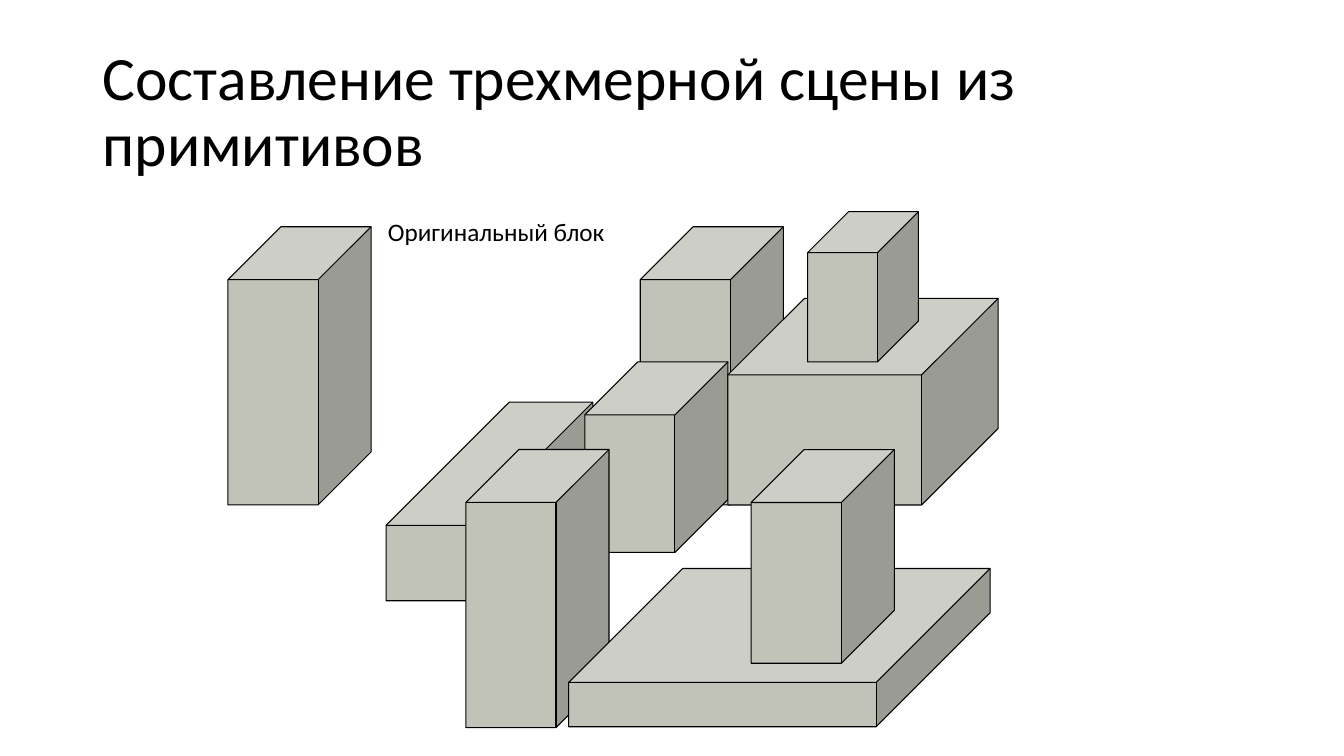
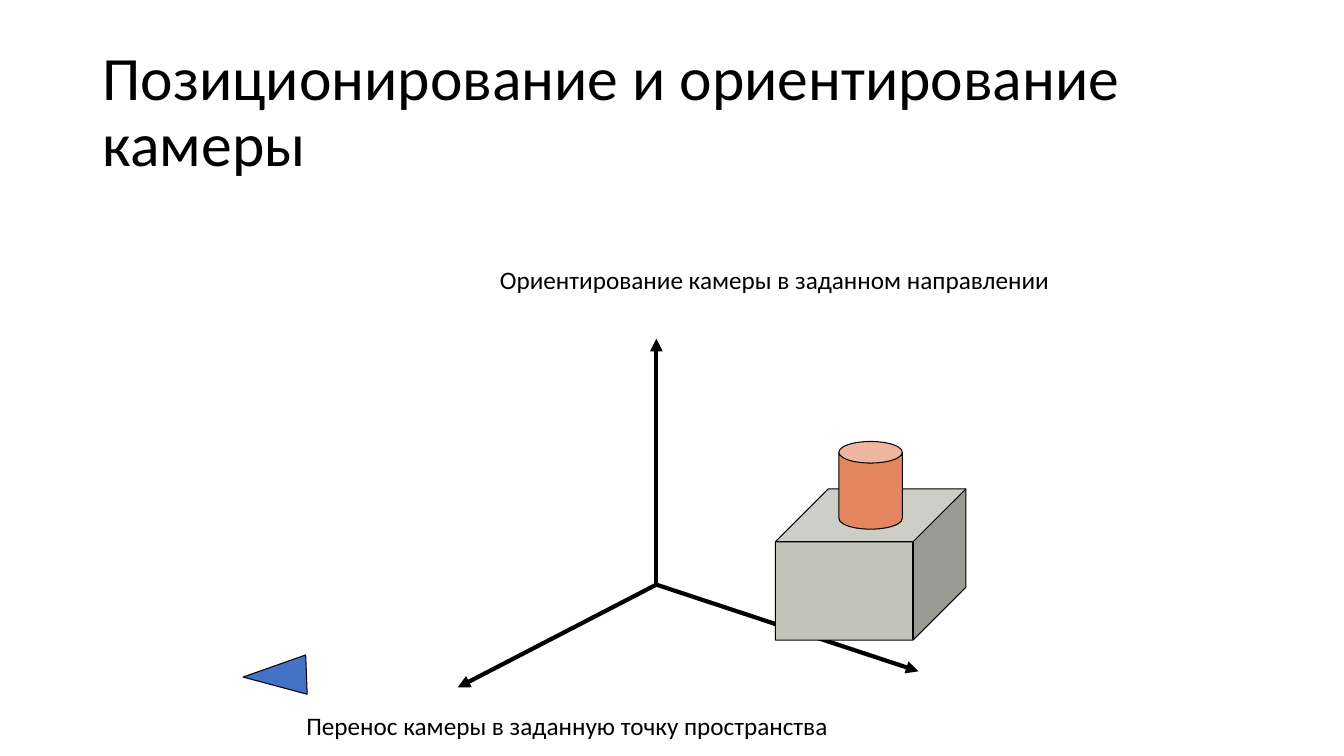
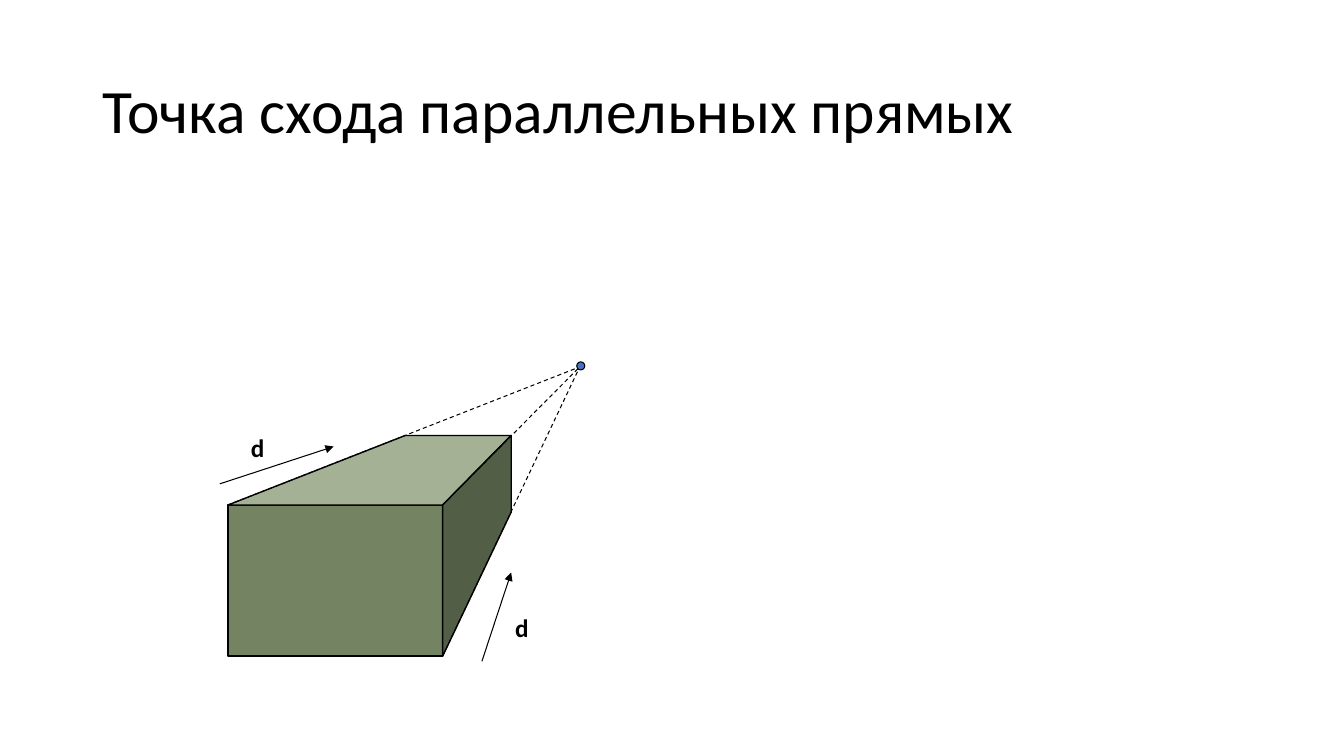
"""Builds three slides on three-dimensional scenes, cameras and vanishing points."""
from lxml import etree
from pptx import Presentation
from pptx.dml.color import RGBColor
from pptx.enum.dml import MSO_LINE
from pptx.enum.shapes import MSO_CONNECTOR, MSO_SHAPE
from pptx.enum.text import MSO_ANCHOR
from pptx.oxml.ns import qn
from pptx.util import Inches, Pt

CUBE, CAN, RECT = MSO_SHAPE.CUBE, MSO_SHAPE.CAN, MSO_SHAPE.RECTANGLE
CONE, DOT = MSO_SHAPE.ISOSCELES_TRIANGLE, MSO_SHAPE.OVAL
STRAIGHT, DASH = MSO_CONNECTOR.STRAIGHT, MSO_LINE.DASH
TOP, MIDDLE = MSO_ANCHOR.TOP, MSO_ANCHOR.MIDDLE
FONT = "Calibri"
THIN, EDGE, THICK = 0.75, 1, 3
SLANT = 0.37
COLORS = {
    "ink": "000000", "paper": "FFFFFF", "stone": "C1C3B9", "clay": "E3855F",
    "blue": "4472C4", "front": "748361", "top": "A4B195", "side": "535E46",
}


def color(name):
    """Return the named colour."""
    return RGBColor.from_string(COLORS[name])


def text(slide, words, left, top, width, height=0.4, size=18, bold=False,
         anchor=TOP, space=1.0):
    """Add a text box with one formatted paragraph."""
    box = slide.shapes.add_textbox(*map(Inches, (left, top, width, height)))
    frame = box.text_frame
    frame.word_wrap = True
    frame.vertical_anchor = anchor
    para = frame.paragraphs[0]
    para.line_spacing = space
    run = para.add_run()
    run.text = words
    run.font.name = FONT
    run.font.size = Pt(size)
    run.font.bold = bold
    run.font.color.rgb = color("ink")


def paint(item, fill, width=THIN):
    """Fill and outline a shape, without a shadow."""
    item.shadow.inherit = False
    item.fill.solid()
    item.fill.fore_color.rgb = color(fill)
    item.line.color.rgb = color("ink")
    item.line.width = Pt(width)


def solid(slide, kind, fill, left, top, width, height, adjust=None, turn=0,
          edge=THIN):
    """Add a painted preset shape."""
    item = slide.shapes.add_shape(kind, *map(Inches, (left, top, width, height)))
    if adjust is not None:
        item.adjustments[0] = adjust
    item.rotation = turn
    paint(item, fill, edge)


def block(slide, left, top, width, height, slant=SLANT):
    """Add a stone block."""
    solid(slide, CUBE, "stone", left, top, width, height, slant)


def face(slide, fill, *points):
    """Add a closed polygon through the points."""
    spots = [tuple(map(Inches, point)) for point in points]
    outline = slide.shapes.build_freeform(*spots[0])
    outline.add_line_segments(spots[1:], close=True)
    paint(outline.convert_to_shape(), fill, EDGE)


def line(slide, start, end, width=THIN, dash=None, arrow=False):
    """Add a straight line, dashed or with an arrowhead if asked."""
    item = slide.shapes.add_connector(STRAIGHT, *map(Inches, (*start, *end)))
    item.line.color.rgb = color("ink")
    item.line.width = Pt(width)
    if dash:
        item.line.dash_style = dash
    props = item._element.spPr
    if arrow:
        stroke = props.find(qn("a:ln"))
        etree.SubElement(stroke, qn("a:tailEnd"), type="triangle")
    etree.SubElement(props, qn("a:effectLst"))


def page(deck, title):
    """Add a blank slide with the shared background and title."""
    slide = deck.slides.add_slide(deck.slide_layouts[6])
    back = slide.background.fill
    back.solid()
    back.fore_color.rgb = color("paper")
    text(slide, title, 0.92, 0.4, 11.5, 1.45, size=44, anchor=MIDDLE, space=0.9)
    return slide


def scene(deck):
    """Build the slide with the scene of blocks."""
    slide = page(deck, "Составление трехмерной сцены из примитивов")
    wide, tall = 1.42, 2.76
    block(slide, 2.26, 2.25, wide, tall)
    text(slide, "Оригинальный блок", 3.75, 2.1, 2.53)
    block(slide, 6.35, 2.25, wide, tall)
    block(slide, 3.83, 3.99, 2.05, 1.97, 0.62)
    block(slide, 5.8, 3.59, wide, 1.89)
    block(slide, 7.22, 2.96, 2.68, 2.05)
    block(slide, 4.62, 4.46, wide, tall)
    block(slide, 5.64, 5.64, 4.18, 1.57, 0.72)
    block(slide, 8.01, 2.1, 1.1, 1.49)
    block(slide, 7.45, 4.46, wide, 2.12)


def camera(deck):
    """Build the slide with the axes and the camera."""
    slide = page(deck, "Позиционирование и ориентирование камеры")
    for end in ((9.11, 6.66), (6.51, 3.36), (4.54, 6.82)):
        line(slide, (6.51, 5.8), end, THICK, arrow=True)
    block(slide, 7.69, 4.85, 1.89, 1.5, 0.35)
    solid(slide, CAN, "clay", 8.32, 4.38, 0.63, 0.87, 0.34)
    solid(slide, CONE, "blue", 2.53, 6.39, 0.39, 0.63, turn=267.8)
    text(slide, "Перенос камеры в заданную точку пространства", 2.94, 7, 5.93)
    text(slide, "Ориентирование камеры в заданном направлении", 4.86, 2.57, 6.15)


def vanish(deck):
    """Build the slide with the vanishing point."""
    slide = page(deck, "Точка схода параллельных прямых")
    left, right, top, base = 2.26, 4.39, 5.01, 6.51
    far, rear = 5.07, 4.32
    near, corner, foot = (left, top), (right, top), (right, base)
    solid(slide, RECT, "front", left, top, right - left, base - top, edge=EDGE)
    face(slide, "top", near, corner, (far, rear), (4.02, rear))
    face(slide, "side", corner, foot, (far, 5.08), (far, rear))
    for start in (near, corner, foot):
        line(slide, start, (5.75, 3.64), dash=DASH)
    line(slide, (2.18, 4.8), (3.31, 4.43), arrow=True)
    line(slide, (4.78, 6.56), (5.07, 5.68), arrow=True)
    for spot in ((2.39, 4.24), (5.01, 6.03)):
        text(slide, "d", *spot, 0.36, bold=True)
    solid(slide, DOT, "blue", 5.72, 3.59, 0.08, 0.08)


def main():
    """Build and save the deck."""
    deck = Presentation()
    deck.slide_width, deck.slide_height = Inches(13.33), Inches(7.5)
    scene(deck)
    camera(deck)
    vanish(deck)
    deck.save("out.pptx")


if __name__ == "__main__":
    main()
